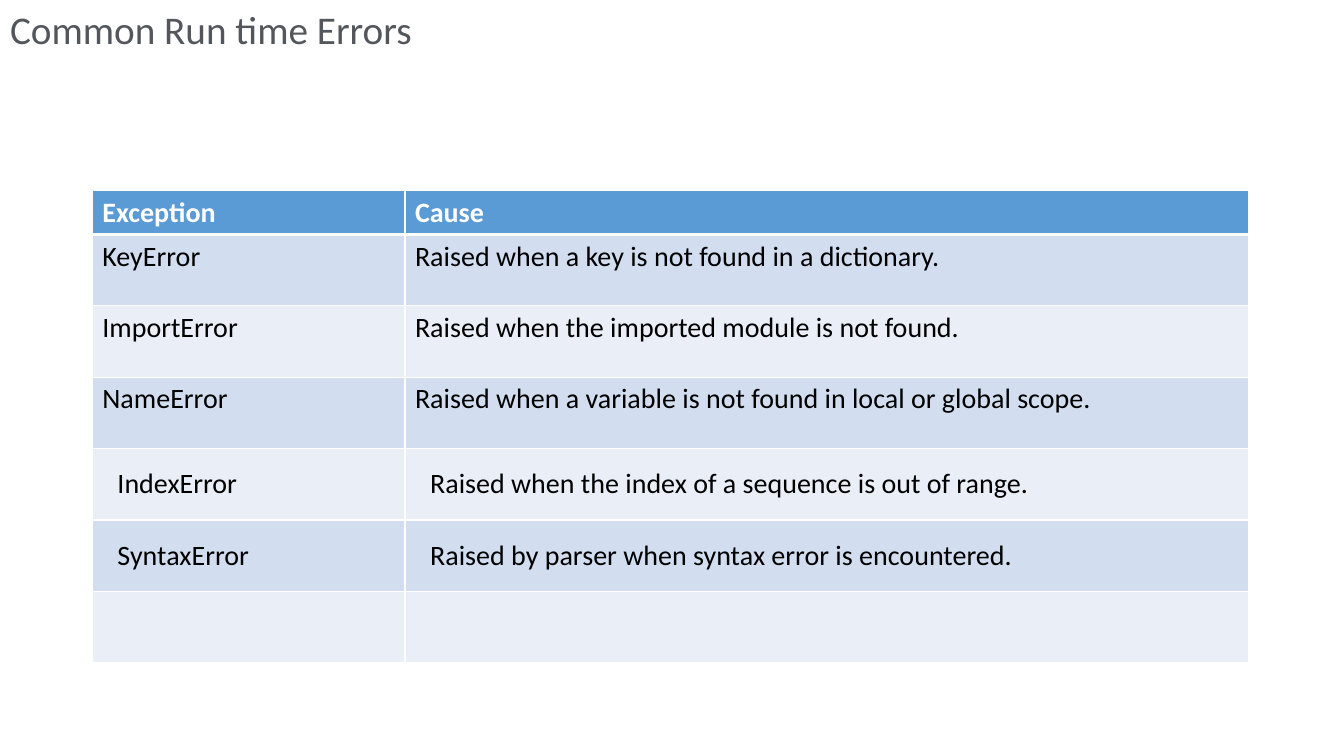
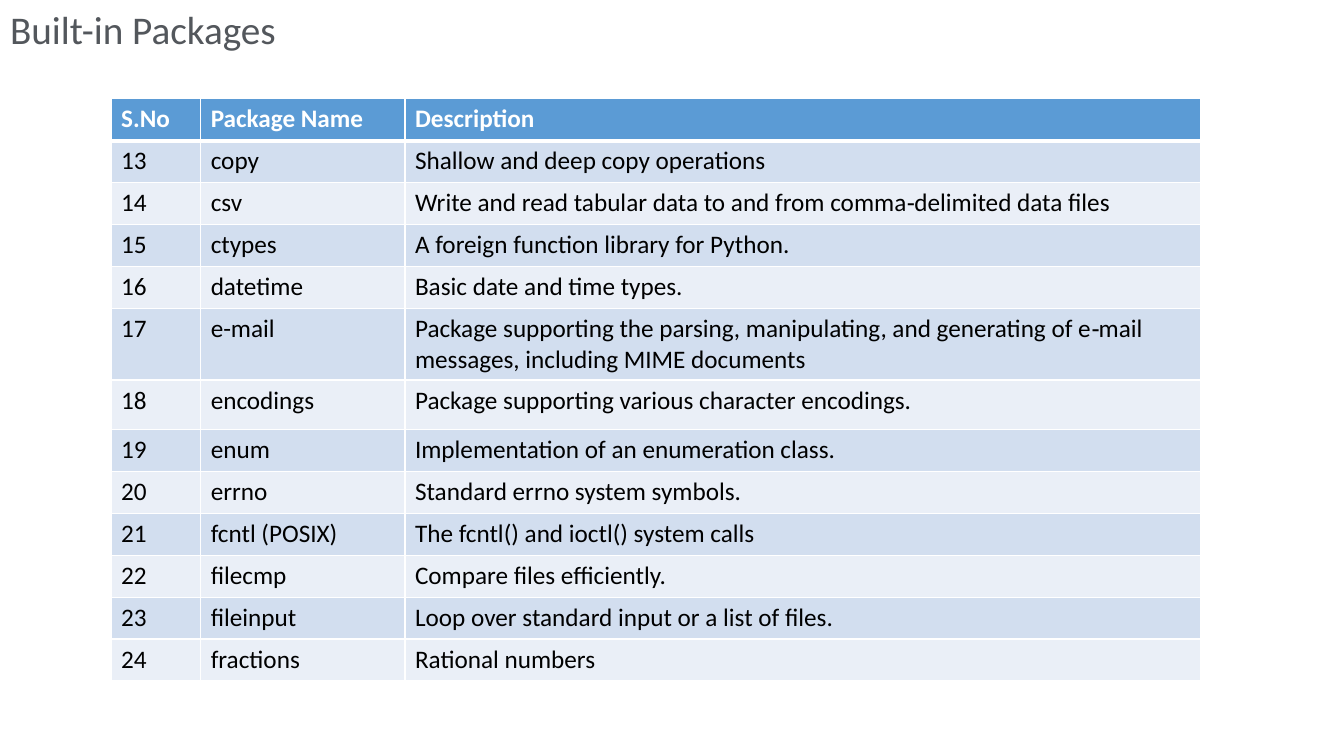
from dataclasses import dataclass

from lxml import etree
from pptx import Presentation
from pptx import util as u
from pptx.dml.color import RGBColor
from pptx.enum import text
from pptx.oxml import ns


@dataclass(frozen=True)
class Theme:
    font: str = "Calibri"
    title_size: int = 28
    title_color: str = "53575C"
    header_fill: str = "5B9BD5"
    header_color: str = "FFFFFF"
    body_color: str = "000000"
    bands: tuple = ("D2DEEF", "EAEFF7")
    border_color: str = "FFFFFF"
    thin: float = 1
    thick: float = 3


class Deck:
    """Places elements on a grid of 15 columns by 18 rows."""

    def __init__(self, theme):
        self.theme = theme
        self.presentation = Presentation()
        self.presentation.slide_width = u.Inches(13.33)
        self.presentation.slide_height = u.Inches(7.5)
        self.slide = None

    def columns(self, count):
        return round(self.presentation.slide_width * count / 15)

    def rows(self, count):
        return round(self.presentation.slide_height * count / 18)

    def format_runs(self, frame, size, color, bold=False):
        for paragraph in frame.paragraphs:
            for run in paragraph.runs:
                run.font.name = self.theme.font
                run.font.size = u.Pt(size)
                run.font.bold = bold
                run.font.color.rgb = RGBColor.from_string(color)

    def add_slide(self, title, title_width):
        layout = self.presentation.slide_layouts.get_by_name("Title Only")
        self.slide = self.presentation.slides.add_slide(layout)
        shape = self.slide.shapes.title
        shape.left = shape.top = 0
        shape.width, shape.height = self.columns(title_width), self.rows(1.37)
        frame = shape.text_frame
        frame.text = title
        frame.word_wrap = False
        frame.auto_size = text.MSO_AUTO_SIZE.SHAPE_TO_FIT_TEXT
        frame.vertical_anchor = text.MSO_ANCHOR.TOP
        frame.paragraphs[0].alignment = text.PP_ALIGN.LEFT
        self.format_runs(frame, self.theme.title_size, self.theme.title_color)

    def add_borders(self, cell, row):
        """Draw thin borders, with a thick one between header and body."""
        theme = self.theme
        widths = {
            "L": theme.thin,
            "R": theme.thin,
            "T": theme.thick if row == 1 else theme.thin,
            "B": theme.thick if row == 0 else theme.thin,
        }
        properties = cell._tc.get_or_add_tcPr()
        for side, width in widths.items():
            line = etree.SubElement(properties, ns.qn(f"a:ln{side}"), w=str(u.Pt(width)))
            fill = etree.SubElement(line, ns.qn("a:solidFill"))
            etree.SubElement(fill, ns.qn("a:srgbClr"), val=theme.border_color)

    def fill_cell(self, cell, row, content, size, inset):
        theme = self.theme
        header = row == 0
        self.add_borders(cell, row)
        cell.fill.solid()
        fill = theme.header_fill if header else theme.bands[(row - 1) % 2]
        cell.fill.fore_color.rgb = RGBColor.from_string(fill)
        if inset:
            cell.vertical_anchor = text.MSO_ANCHOR.MIDDLE
            cell.margin_left = cell.margin_right = u.Inches(0.25)
            cell.margin_top = cell.margin_bottom = u.Inches(0.12)
        cell.text_frame.text = content
        color = theme.header_color if header else theme.body_color
        self.format_runs(cell.text_frame, size, color, bold=header)

    def add_table(self, records, left, top, widths, heights, size, inset_rows=()):
        """Add a table whose first record is the header; lengths are grid units."""
        table = self.slide.shapes.add_table(
            len(records), len(widths),
            self.columns(left), self.rows(top),
            self.columns(sum(widths)), self.rows(sum(heights)),
        ).table
        for column, width in zip(table.columns, widths):
            column.width = self.columns(width)
        for row, (record, height) in enumerate(zip(records, heights)):
            table.rows[row].height = self.rows(height)
            for column, content in enumerate(record):
                self.fill_cell(table.cell(row, column), row, content, size, row in inset_rows)


ERRORS = [
    ("Exception", "Cause"),
    ("KeyError", "Raised when a key is not found in a dictionary."),
    ("ImportError", "Raised when the imported module is not found."),
    ("NameError", "Raised when a variable is not found in local or global scope."),
    ("IndexError", "Raised when the index of a sequence is out of range."),
    ("SyntaxError", "Raised by parser when syntax error is encountered."),
    ("", ""),
]

FIRST_NUMBER = 13
PACKAGES = [
    ("copy", "Shallow and deep copy operations"),
    ("csv", "Write and read tabular data to and from comma‐delimited data files"),
    ("ctypes", "A foreign function library for Python."),
    ("datetime", "Basic date and time types."),
    ("e-mail", "Package supporting the parsing, manipulating, and generating of e‐mail\n"
               "messages, including MIME documents"),
    ("encodings", "Package supporting various character encodings."),
    ("enum", "Implementation of an enumeration class."),
    ("errno", "Standard errno system symbols."),
    ("fcntl (POSIX)", "The fcntl() and ioctl() system calls"),
    ("filecmp", "Compare files efficiently."),
    ("fileinput", "Loop over standard input or a list of files."),
    ("fractions", "Rational numbers"),
]


def main():
    deck = Deck(Theme())

    deck.add_slide("Common Run time Errors", title_width=4.71)
    deck.add_table(ERRORS, left=1.03, top=4.54, widths=(3.49, 9.42),
                   heights=[1.02] + [1.7] * 6, size=20, inset_rows=(4, 5))

    deck.add_slide("Built-in Packages", title_width=3.21)
    numbered = [(str(number), *package)
                for number, package in enumerate(PACKAGES, FIRST_NUMBER)]
    deck.add_table([("S.No", "Package Name", "Description")] + numbered,
                   left=1.24, top=2.35, widths=(1, 2.28, 8.88),
                   heights=[1] * 5 + [1.7, 1.17] + [1] * 6, size=18)

    deck.presentation.save("out.pptx")


if __name__ == "__main__":
    main()
